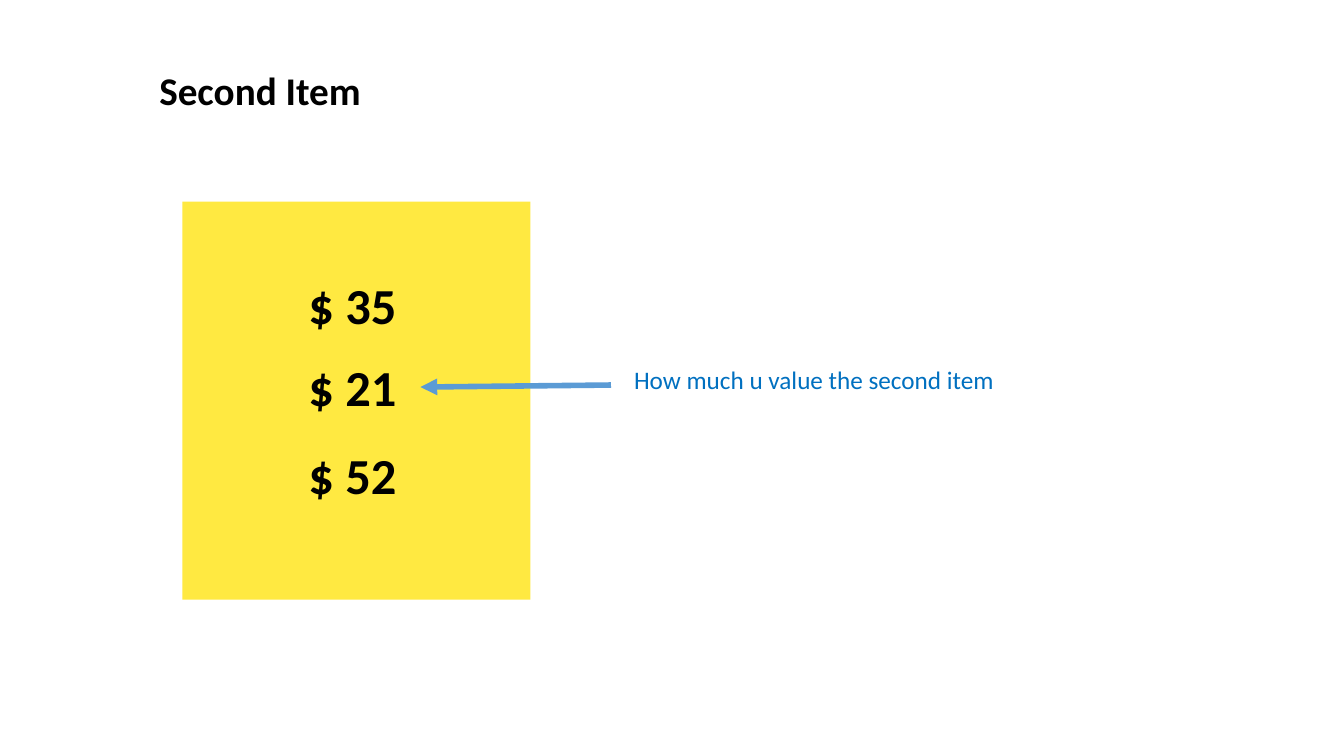
from dataclasses import dataclass

from lxml import etree
from pptx import Presentation
from pptx import util as u
from pptx.dml.color import RGBColor
from pptx.enum import shapes, text
from pptx.oxml import ns


@dataclass(frozen=True)
class Theme:
    font: str = "Calibri"
    ink: str = "000000"
    note: str = "0070C0"
    card: str = "FFE941"
    arrow: str = "5B9BD5"
    title_size: int = 28
    price_size: int = 36
    note_size: int = 18
    arrow_width: int = 4


@dataclass(frozen=True)
class Price:
    label: str
    top: float


THEME = Theme()
PRICES = [Price("$ 35", 2.67), Price("$ 21", 3.48), Price("$ 52", 4.36)]


def place(sp, left: float, top: float, width: float, height: float) -> None:
    sp.left, sp.top = u.Inches(left), u.Inches(top)
    sp.width, sp.height = u.Inches(width), u.Inches(height)


def write(sp, content: str, *, size: int, color: str = THEME.ink,
          bold: bool = False) -> None:
    tf = sp.text_frame
    tf.word_wrap = True
    tf.auto_size = text.MSO_AUTO_SIZE.SHAPE_TO_FIT_TEXT
    tf.vertical_anchor = text.MSO_ANCHOR.TOP
    p = tf.paragraphs[0]
    p.alignment = text.PP_ALIGN.LEFT
    r = p.add_run()
    r.text = content
    r.font.name = THEME.font
    r.font.size = u.Pt(size)
    r.font.bold = bold
    r.font.color.rgb = RGBColor.from_string(color)


def add_text(s, content: str, left: float, top: float, width: float,
             height: float, **fmt) -> None:
    sp = s.shapes.add_textbox(*map(u.Inches, (left, top, width, height)))
    write(sp, content, **fmt)


def add_card(s, left: float, top: float, width: float, height: float) -> None:
    sp = s.shapes.add_shape(shapes.MSO_SHAPE.RECTANGLE,
                            *map(u.Inches, (left, top, width, height)))
    sp.shadow.inherit = False
    sp.fill.solid()
    sp.fill.fore_color.rgb = RGBColor.from_string(THEME.card)
    sp.line.fill.background()


def add_arrow(s, x1: float, y1: float, x2: float, y2: float) -> None:
    cx = s.shapes.add_connector(shapes.MSO_CONNECTOR.STRAIGHT,
                                *map(u.Inches, (x1, y1, x2, y2)))
    cx.line.color.rgb = RGBColor.from_string(THEME.arrow)
    cx.line.width = u.Pt(THEME.arrow_width)
    ln = cx.line._get_or_add_ln()
    etree.SubElement(ln, ns.qn("a:tailEnd"), type="triangle")
    etree.SubElement(cx._element.spPr, ns.qn("a:effectLst"))


def main() -> None:
    prs = Presentation()
    prs.slide_width, prs.slide_height = u.Inches(13.33), u.Inches(7.5)
    s = prs.slides.add_slide(prs.slide_layouts.get_by_name("Title Only"))

    title = s.shapes.title
    place(title, 1.48, 0.61, 10.02, 0.57)
    write(title, "Second Item", size=THEME.title_size, bold=True)

    add_card(s, 1.81, 2, 3.45, 3.95)
    for price in PRICES:
        add_text(s, price.label, 2.96, price.top, 1.65, 0.71,
                 size=THEME.price_size, bold=True)

    add_arrow(s, 6.06, 3.82, 4.17, 3.84)
    add_text(s, "How much u value the second item", 6.19, 3.57, 4.52, 0.4,
             size=THEME.note_size, color=THEME.note)

    prs.save("out.pptx")


if __name__ == "__main__":
    main()
